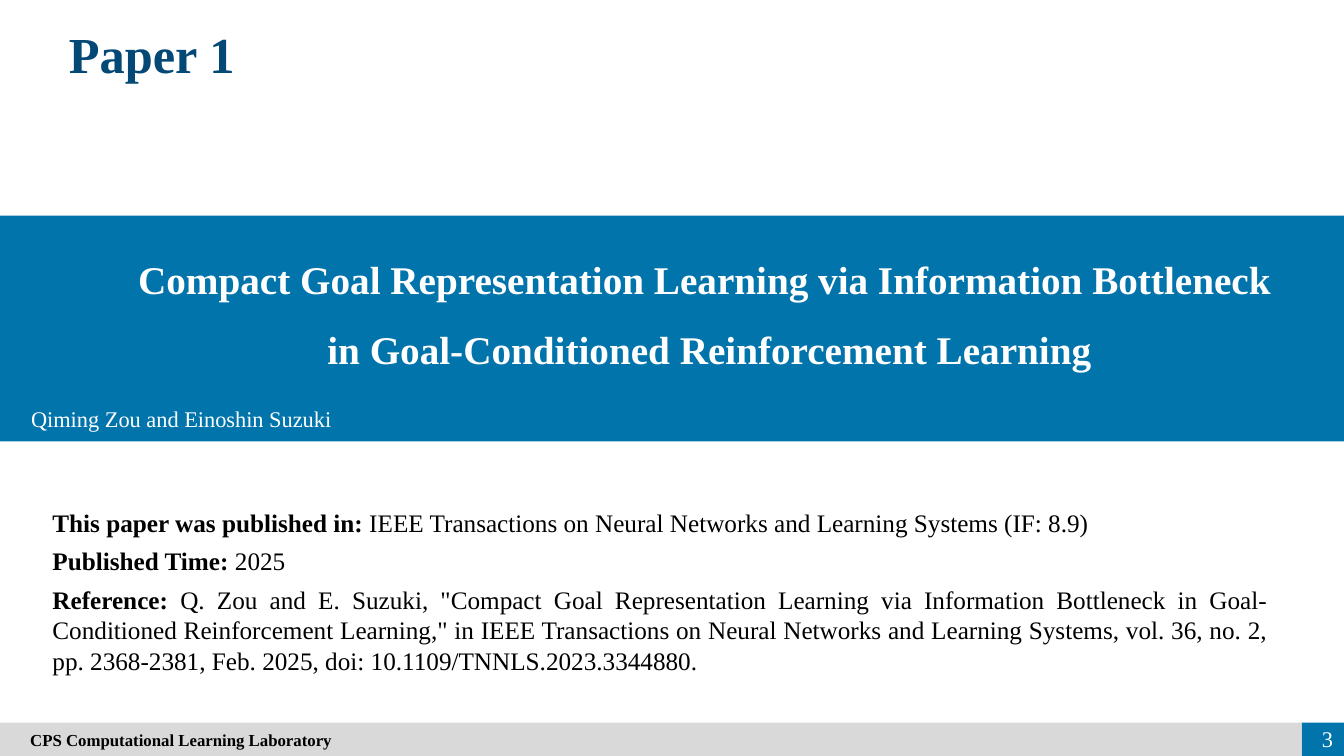
import dataclasses

import pptx
import pptx.dml.color
import pptx.enum.shapes
import pptx.enum.text
import pptx.oxml.ns
import pptx.util

ALIGN = pptx.enum.text.PP_ALIGN
ANCHOR = pptx.enum.text.MSO_ANCHOR


@dataclasses.dataclass(frozen=True)
class Theme:
    """Colours, type sizes and font of the deck."""
    blue: str = "0174AB"
    navy: str = "044875"
    grey: str = "D9D9D9"
    white: str = "FFFFFF"
    black: str = "000000"
    heading: int = 36
    paper: int = 28
    body: int = 18
    small: int = 16
    footer: int = 12
    face: str = "Times New Roman"


def assign(target, values):
    """Set each named attribute on the target."""
    for name, value in values.items():
        setattr(target, name, value)


class PaperSlide:
    """Draw elements on one slide, placed in percent of its width and height."""

    def __init__(self, deck, theme):
        """Add a title and body slide to the deck."""
        self.deck, self.theme = deck, theme
        self.slide = deck.slides.add_slide(deck.slide_layouts[1])

    def area(self, left, top, width, height):
        """Turn percentages into slide lengths."""
        across, down = self.deck.slide_width / 100, self.deck.slide_height / 100
        return [round(v) for v in (left * across, top * down, width * across, height * down)]

    def fill_text(self, shape, lines, size, colour, anchor=ANCHOR.TOP, inset=0.1, **layout):
        """Fill a shape with lines, each a list of (text, bold) runs."""
        frame = shape.text_frame
        assign(frame, {"word_wrap": True, "vertical_anchor": anchor,
                       "auto_size": pptx.enum.text.MSO_AUTO_SIZE.NONE,
                       "margin_left": pptx.util.Inches(inset)})
        for index, line in enumerate(lines):
            paragraph = frame.paragraphs[0] if index == 0 else frame.add_paragraph()
            assign(paragraph, {"space_before": pptx.util.Pt(0), **layout})
            for text, bold in line:
                run = paragraph.add_run()
                run.text = text
                assign(run.font, {"name": self.theme.face, "bold": bold,
                                  "size": pptx.util.Pt(size)})
                run.font.color.rgb = pptx.dml.color.RGBColor.from_string(colour)

    def placeholder(self, index, area, lines, size, colour, **layout):
        """Move a template placeholder and fill it without bullets."""
        holder = self.slide.placeholders[index]
        assign(holder, dict(zip(("left", "top", "width", "height"), self.area(*area))))
        self.fill_text(holder, lines, size, colour, **layout)
        for paragraph in holder.text_frame.paragraphs:
            properties = paragraph._p.get_or_add_pPr()
            properties.set("marL", "0")
            properties.set("indent", "0")
            properties.append(pptx.oxml.parse_xml(
                f'<a:buNone {pptx.oxml.ns.nsdecls("a")}/>'))

    def bar(self, area, colour):
        """Draw a plain filled rectangle."""
        bar = self.slide.shapes.add_shape(
            pptx.enum.shapes.MSO_SHAPE.RECTANGLE, *self.area(*area))
        bar.shadow.inherit = False
        bar.fill.solid()
        bar.fill.fore_color.rgb = pptx.dml.color.RGBColor.from_string(colour)
        bar.line.fill.background()
        return bar

    def label(self, area, lines, size, colour, **layout):
        """Put lines in a text box."""
        self.fill_text(self.slide.shapes.add_textbox(*self.area(*area)),
                       lines, size, colour, **layout)


def main():
    """Build the paper slide."""
    deck = pptx.Presentation()
    assign(deck, {"slide_width": pptx.util.Inches(13.33),
                  "slide_height": pptx.util.Inches(7.5)})
    theme = Theme()
    page = PaperSlide(deck, theme)

    page.placeholder(0, (2.85, 2.4, 16.88, 9.47), [[("Paper 1", True)]],
                     theme.heading, theme.navy, alignment=ALIGN.CENTER)

    page.bar((0, 28.53, 100, 29.87), theme.blue)
    paper_title = ("Compact Goal Representation Learning via Information Bottleneck ",
                   "in Goal-Conditioned Reinforcement Learning")
    page.label((6.3, 30.4, 92.95, 19.07), [[(line, True)] for line in paper_title],
               theme.paper, theme.white, anchor=ANCHOR.MIDDLE,
               alignment=ALIGN.CENTER, line_spacing=1.5)
    page.label((1.58, 52.93, 88.67, 4.93), [[("Qiming Zou and Einoshin Suzuki", False)]],
               theme.small, theme.white)

    publication = {
        "This paper was published in:":
            "IEEE Transactions on Neural Networks and Learning Systems (IF: 8.9)",
        "Published Time:": "2025",
        "Reference:":
            'Q. Zou and E. Suzuki, "Compact Goal Representation Learning via Information '
            'Bottleneck in Goal-Conditioned Reinforcement Learning," in IEEE Transactions on '
            "Neural Networks and Learning Systems, vol. 36, no. 2, pp. 2368-2381, Feb. 2025, "
            "doi: 10.1109/TNNLS.2023.3344880.",
    }
    page.placeholder(1, (3.15, 66.4, 91.97, 23.73),
                     [[(name, True), (f" {detail}", False)]
                      for name, detail in publication.items()],
                     theme.body, theme.black, alignment=ALIGN.JUSTIFY,
                     space_after=pptx.util.Pt(6))

    page.bar((96.85, 95.6, 3.15, 4.4), theme.blue)
    laboratory = page.bar((0, 95.6, 96.85, 4.4), theme.grey)
    page.fill_text(laboratory, [[("CPS Computational Learning Laboratory", True)]],
                   theme.footer, theme.black, anchor=ANCHOR.MIDDLE, inset=0.3,
                   alignment=ALIGN.LEFT)
    page.label((95.2, 95.07, 4.72, 5.33), [[("3", False)]], theme.small, theme.white,
               anchor=ANCHOR.MIDDLE, alignment=ALIGN.RIGHT)

    deck.save("out.pptx")


if __name__ == "__main__":
    main()
